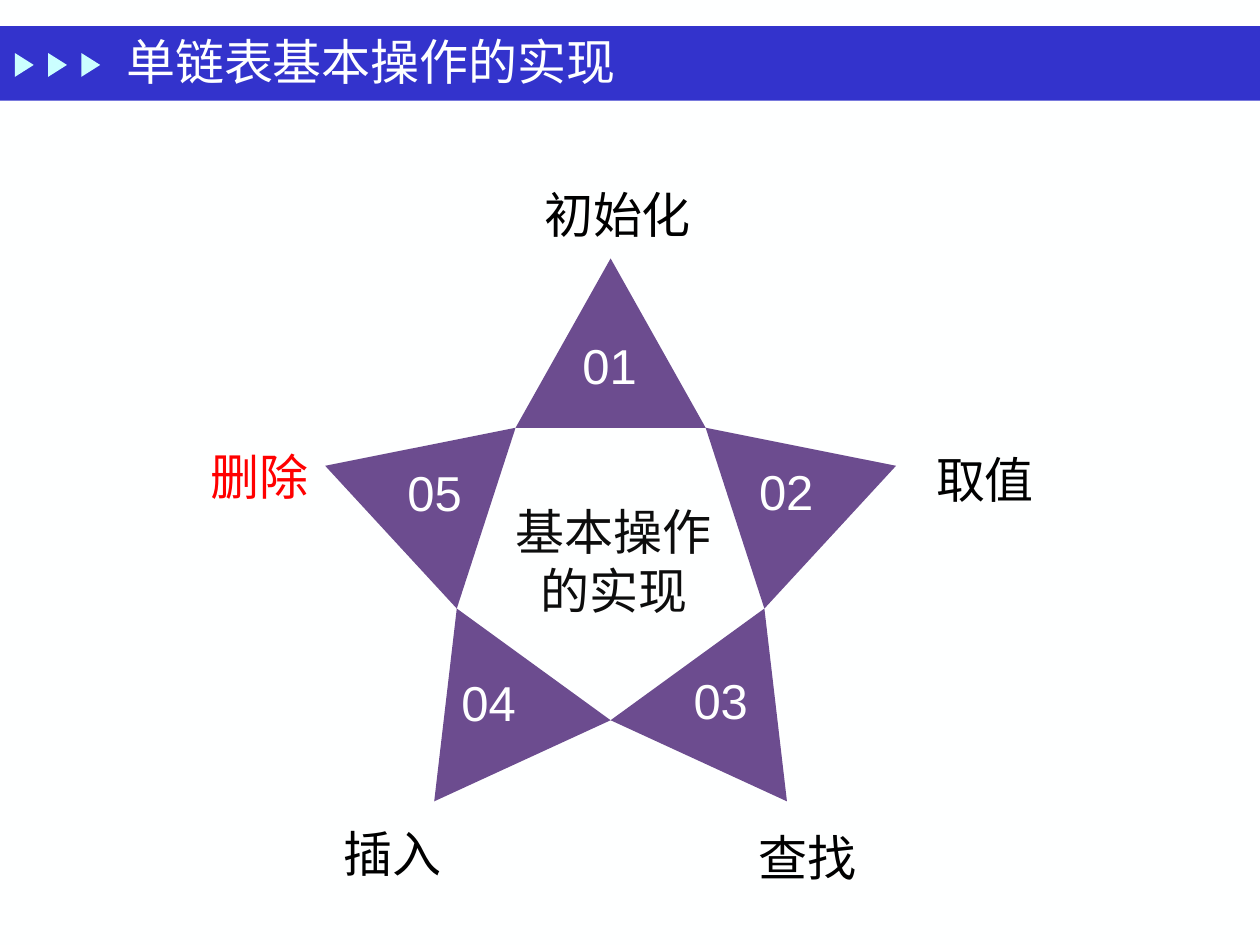
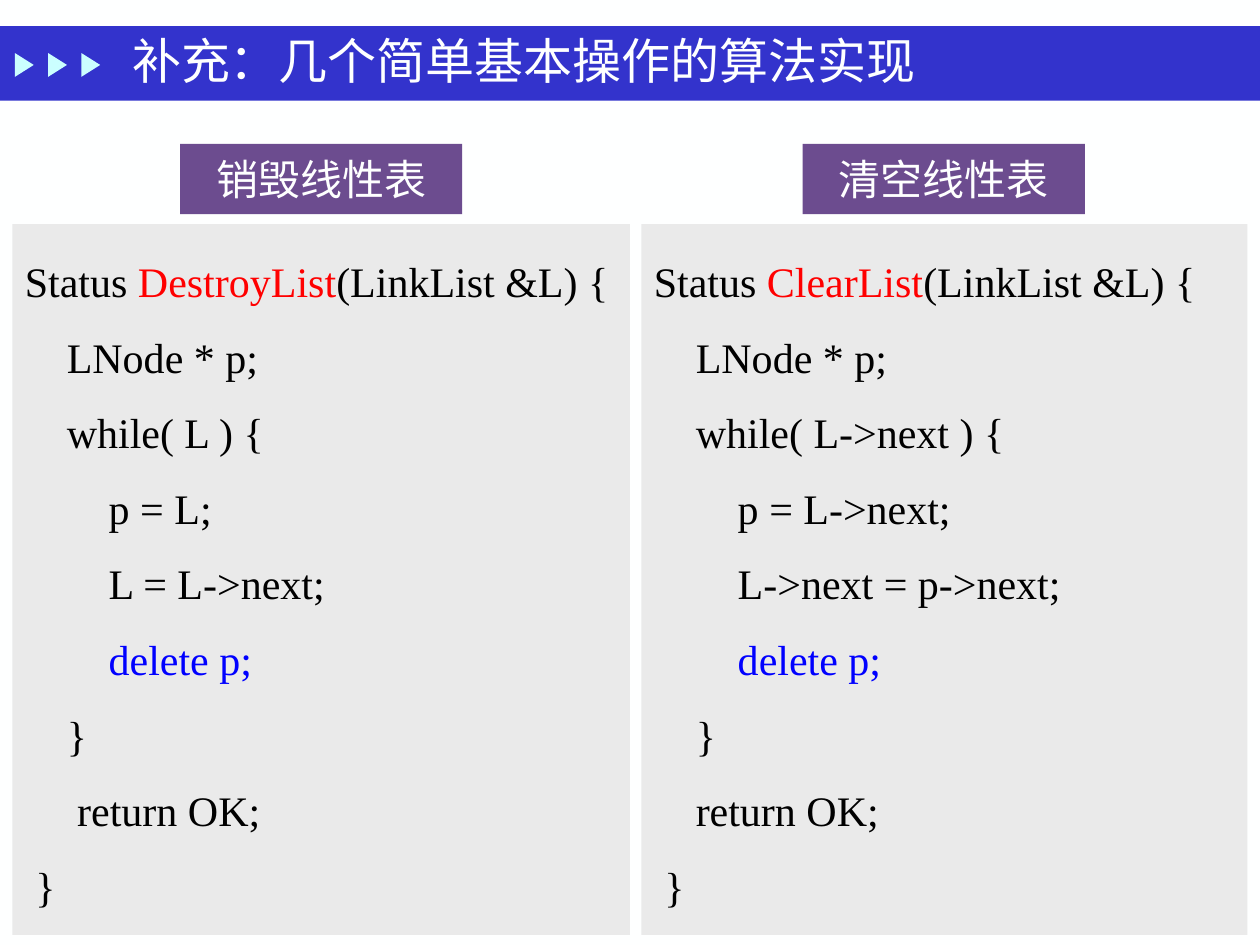
import math

import pptx
import pptx.dml.color
import pptx.enum.lang
import pptx.enum.shapes
import pptx.enum.text
import pptx.util

Cm, Pt = pptx.util.Cm, pptx.util.Pt
SHAPE = pptx.enum.shapes.MSO_SHAPE
ALIGN = pptx.enum.text.PP_ALIGN
ANCHOR = pptx.enum.text.MSO_ANCHOR
COLORS = {
    "paper": "FEFFFF", "band": "3333CC", "arrow": "CBFFFF", "purple": "6C4C8F",
    "panel": "EAEAEA", "black": "000000", "ink": "0D0D0D", "red": "FF0000",
    "blue": "0000FF",
}
SERIF, SANS = "Times New Roman", "Arial"
TAB = 24  # points per code indent level


def rgb(name):
    return pptx.dml.color.RGBColor.from_string(COLORS[name])


class Deck:
    """Holds the presentation, its shared style and the current slide."""

    def __init__(self):
        self.prs = pptx.Presentation()
        self.prs.slide_width, self.prs.slide_height = Cm(25.4), Cm(19.05)
        self.layout = self.prs.slide_layouts[5]
        fill = self.prs.slide_master.background.fill
        fill.solid()
        fill.fore_color.rgb = rgb("paper")
        self.s = None

    def slide(self, title, left, top, width, height):
        first = self.s is None
        self.s = self.prs.slides.add_slide(self.layout)
        if first:
            self.header_on_layout()
        sp = self.s.shapes.title
        self.place(sp, left, top, width, height)
        self.fill_text(sp.text_frame, [(0, [(title, "paper")])], 28,
                       anchor=ANCHOR.MIDDLE)

    def header_on_layout(self):
        """Puts the band and its three arrows behind every slide's content."""
        for ph in list(self.layout.placeholders)[1:]:
            ph.element.getparent().remove(ph.element)
        parts = [self.box("band", 0, 0.53, 25.4, 1.5)]
        for i in range(3):
            sp = self.box("arrow", 0.25 + 0.67 * i, 1.12, 0.48, 0.38,
                          SHAPE.ISOSCELES_TRIANGLE)
            sp.rotation = 90
            parts.append(sp)
        for sp in parts:
            self.layout.shapes.element.append(sp.element)

    def place(self, sp, left, top, width, height):
        sp.left, sp.top, sp.width, sp.height = map(Cm, (left, top, width, height))

    def paint(self, sp, color):
        sp.shadow.inherit = False
        sp.fill.solid()
        sp.fill.fore_color.rgb = rgb(color)
        sp.line.fill.background()
        return sp

    def box(self, color, left, top, width, height, kind=SHAPE.RECTANGLE):
        sp = self.s.shapes.add_shape(kind, *map(Cm, (left, top, width, height)))
        return self.paint(sp, color)

    def polygon(self, color, points):
        points = [(Cm(x), Cm(y)) for x, y in points]
        fb = self.s.shapes.build_freeform(*points[0], scale=1.0)
        fb.add_line_segments(points[1:], close=True)
        return self.paint(fb.convert_to_shape(), color)

    def text(self, text, color, left, top, width, height, inset=True, **style):
        sp = self.s.shapes.add_textbox(*map(Cm, (left, top, width, height)))
        tf = sp.text_frame
        if not inset:
            tf.margin_left = tf.margin_right = tf.margin_top = tf.margin_bottom = 0
        self.fill_text(tf, [(0, [(text, color)])], 28, **style)

    def fill_text(self, tf, lines, size, font=SERIF, align=ALIGN.LEFT,
                  anchor=ANCHOR.TOP, spacing=None, before=None):
        """Fills a frame with lines of (indent in points, [(text, color), ...])."""
        tf.word_wrap = True
        tf.auto_size = pptx.enum.text.MSO_AUTO_SIZE.NONE
        tf.vertical_anchor = anchor
        for i, (indent, runs) in enumerate(lines):
            p = tf.add_paragraph() if i else tf.paragraphs[0]
            p.alignment = align
            p.line_spacing = spacing
            if before:
                p.space_before = Pt(before)
            if indent:
                p._p.get_or_add_pPr().set("marL", str(Pt(indent)))
            for text, color in runs:
                r = p.add_run()
                r.text = text
                r.font.name, r.font.size = font, Pt(size)
                r.font.color.rgb = rgb(color)
                r.font.language_id = (
                    pptx.enum.lang.MSO_LANGUAGE_ID.SIMPLIFIED_CHINESE)

    def tag(self, text, left):
        sp = self.box("purple", left, 2.9, 5.69, 1.42)
        self.fill_text(sp.text_frame, [(0, [(text, "paper")])], 24,
                       align=ALIGN.CENTER, anchor=ANCHOR.MIDDLE)

    def code(self, lines, left, width):
        sp = self.box("panel", left, 4.52, width, 14.33)
        self.fill_text(sp.text_frame, lines, 24, spacing=1.5)


def star_slide(deck):
    deck.slide("单链表基本操作的实现", 2.29, 0.46, 19.91, 1.52)

    def star_point(radius, degrees):
        """Point at an angle measured clockwise from the top of the star."""
        a = math.radians(degrees)
        return 12.31 + radius * math.sin(a), 11.26 - radius * math.cos(a)

    for i in range(5):
        turn = 72 * i
        deck.polygon("purple", [star_point(3.26, turn - 36),
                                star_point(6.05, turn),
                                star_point(3.26, turn + 36)])

    numbers = [(11.63, 6.76), (15.19, 9.3), (13.87, 13.51), (9.19, 13.56),
               (8.1, 9.32)]
    for i, (left, top) in enumerate(numbers, 1):
        deck.text(f"{i:02}", "paper", left, top, 1.32, 1.19, inset=False,
                  font=SANS, align=ALIGN.CENTER)

    operations = [
        ("初始化", "black", 10.72, 3.25, 3.99, 1.52),
        ("取值", "black", 18.62, 8.59, 2.69, 1.6),
        ("查找", "black", 15.04, 16.21, 2.95, 1.32),
        ("插入", "black", 6.68, 16.13, 2.75, 1.55),
        ("删除", "red", 3.99, 8.53, 2.59, 1.4),
    ]
    for operation in operations:
        deck.text(*operation, spacing=1.3, before=5.6)
    deck.text("基本操作的实现", "ink", 10.11, 9.63, 4.52, 3.35,
              align=ALIGN.CENTER, anchor=ANCHOR.MIDDLE)


def list_code(name, condition, steps, return_indent):
    """Lines of a function that deletes nodes in a loop."""
    return [
        (0, [("Status ", "black"), (name, "red"),
             ("(LinkList &L) {", "black")]),
        (TAB, [("LNode * p;", "black")]),
        (TAB, [(f"while( {condition} ) {{", "black")]),
        *[(2 * TAB, [(step, "black")]) for step in steps],
        (2 * TAB, [("delete p;", "blue")]),
        (TAB, [("}", "black")]),
        (return_indent, [("return OK;", "black")]),
        (6, [("}", "black")]),
    ]


def code_slide(deck):
    deck.slide("补充：几个简单基本操作的算法实现", 2.41, 0.48, 20.62, 1.45)
    deck.code(list_code("DestroyList", "L", ["p = L;", "L = L->next;"], TAB + 6),
              0.25, 12.45)
    deck.code(list_code("ClearList", "L->next",
                        ["p = L->next;", "L->next = p->next;"], TAB),
              12.93, 12.22)
    deck.tag("销毁线性表", 3.63)
    deck.tag("清空线性表", 16.18)


def main():
    deck = Deck()
    star_slide(deck)
    code_slide(deck)
    deck.prs.save("out.pptx")


if __name__ == "__main__":
    main()
